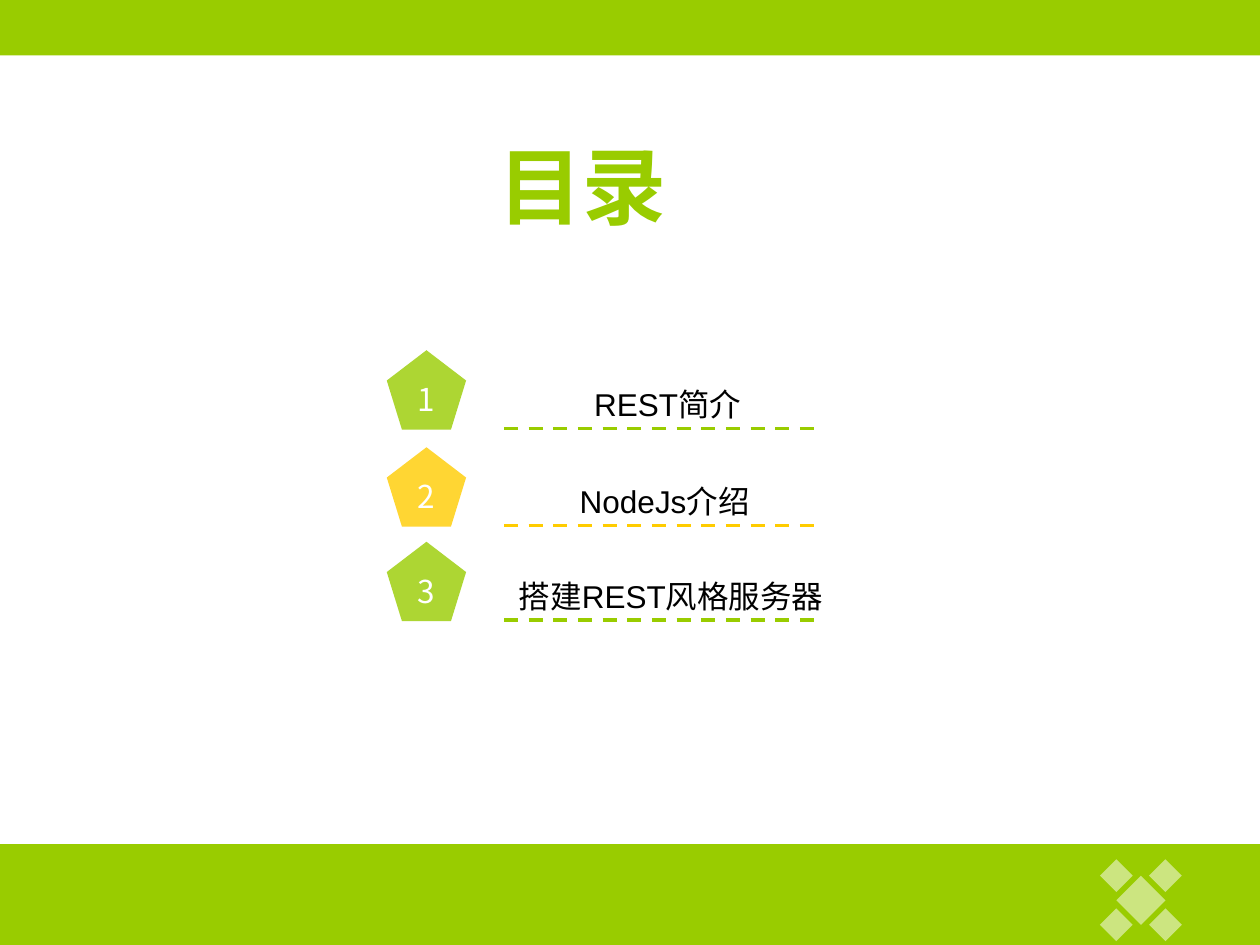
import pptx
import pptx.dml.color
import pptx.enum.dml
import pptx.enum.shapes
import pptx.enum.text
import pptx.oxml
import pptx.oxml.ns
import pptx.util
from lxml import etree

GREEN = pptx.dml.color.RGBColor(0x99, 0xCC, 0x00)
YELLOW = pptx.dml.color.RGBColor(0xFF, 0xCC, 0x00)
WHITE = pptx.dml.color.RGBColor(0xFF, 0xFF, 0xFF)
BLACK = pptx.dml.color.RGBColor(0x00, 0x00, 0x00)

COLUMNS, ROWS = 100, 75
CELL = pptx.util.Inches(10) // COLUMNS
SHAPES = pptx.enum.shapes.MSO_SHAPE
ALIGN = pptx.enum.text.PP_ALIGN


def cells(*counts):
    return [round(count * CELL) for count in counts]


def add_filled(slide, kind, box, color, opacity=100):
    shape = slide.shapes.add_shape(kind, *cells(*box))
    shape.shadow.inherit = False
    shape.fill.solid()
    shape.fill.fore_color.rgb = color
    shape.line.fill.background()
    if opacity < 100:
        color_element = shape.fill._xPr.find(".//" + pptx.oxml.ns.qn("a:srgbClr"))
        alpha = etree.SubElement(color_element, pptx.oxml.ns.qn("a:alpha"))
        alpha.set("val", str(opacity * 1000))
    return shape


def write(shape, text, size, color, font, align=ALIGN.CENTER, bold=False):
    paragraph = shape.text_frame.paragraphs[0]
    paragraph.text = text
    paragraph.alignment = align
    paragraph.font.size = pptx.util.Pt(size)
    paragraph.font.name = font
    paragraph.font.bold = bold
    paragraph.font.color.rgb = color


def add_text(slide, box, *style, **options):
    text_box = slide.shapes.add_textbox(*cells(*box))
    text_box.text_frame.word_wrap = True
    write(text_box, *style, **options)


def add_dashed_line(slide, left, top, width, color):
    line = slide.shapes.add_connector(
        pptx.enum.shapes.MSO_CONNECTOR.STRAIGHT,
        *cells(left, top, left + width, top))
    line.line.color.rgb = color
    line.line.width = pptx.util.Pt(2)
    line.line.dash_style = pptx.enum.dml.MSO_LINE.DASH
    etree.SubElement(line._element.spPr, pptx.oxml.ns.qn("a:effectLst"))


def add_ornament(slide, left, top, size):
    center, corner = size * 0.6, size * 0.4
    inset = (size - center) / 2
    far = size - corner
    diamonds = [(inset, inset, center)]
    diamonds += [(x, y, corner) for y in (far, 0) for x in (0, far)]
    for x, y, side in diamonds:
        add_filled(slide, SHAPES.DIAMOND, (left + x, top + y, side, side), WHITE, 50)


def add_bands(slide):
    add_filled(slide, SHAPES.RECTANGLE, (0, -0.3, COLUMNS, 4.7), GREEN)
    add_filled(slide, SHAPES.RECTANGLE, (0, ROWS - 8, COLUMNS, 8), GREEN)
    add_ornament(slide, 87.3, 68.2, 6.5)


def add_entry(slide, left, top, number, text, color, label_width, align):
    side = 6.3
    badge = add_filled(slide, SHAPES.REGULAR_PENTAGON, (left, top, side, side), color, 80)
    badge.text_frame.word_wrap = False
    badge.text_frame.vertical_anchor = pptx.enum.text.MSO_ANCHOR.MIDDLE
    write(badge, str(number), 18, WHITE, "Noto Sans CJK SC")
    add_dashed_line(slide, left + 9.3, top + 6.2, 25.1, color)
    add_text(slide, (left + 9.5, top + 2.3, label_width, 4),
             text, 18, BLACK, "Arial", align=align)


def add_contents(slide, left):
    entries = [
        (27.8, "REST简介", GREEN, 25.6, ALIGN.CENTER),
        (35.5, "NodeJs介绍", YELLOW, 25.1, ALIGN.CENTER),
        (43, "搭建REST风格服务器", GREEN, 28, ALIGN.LEFT),
    ]
    for number, (top, *entry) in enumerate(entries, start=1):
        add_entry(slide, left, top, number, *entry)


def main():
    presentation = pptx.Presentation()
    presentation.slide_width = CELL * COLUMNS
    presentation.slide_height = CELL * ROWS
    slide = presentation.slides.add_slide(presentation.slide_layouts[6])
    add_bands(slide)
    add_text(slide, (30.6, 10.2, 31.2, 9), "目录", 48, GREEN, "Arial", bold=True)
    add_contents(slide, 30.7)
    presentation.save("out.pptx")


if __name__ == "__main__":
    main()
